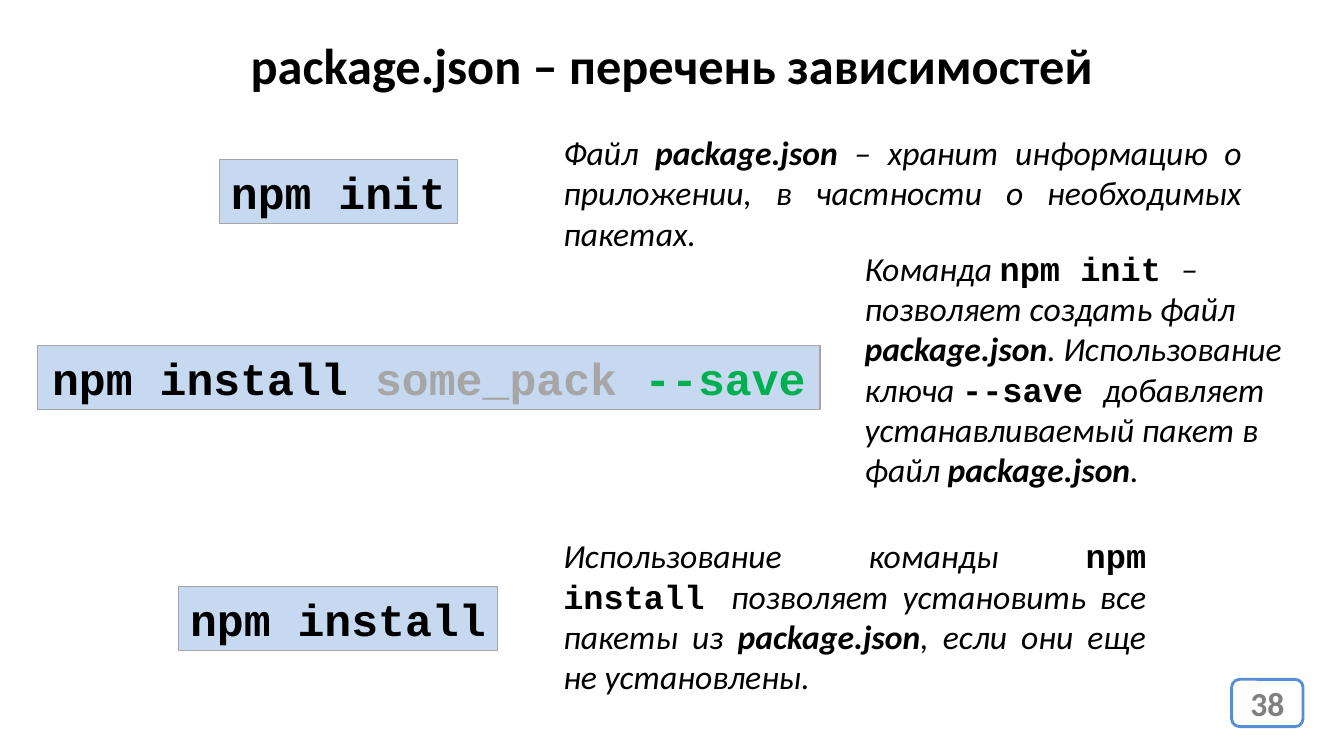
from pptx import Presentation
from pptx import util as u
from pptx.dml.color import RGBColor
from pptx.enum import shapes, text

PX = 9525
THEME = {
    "body_font": "Calibri", "code_font": "Courier New",
    "title_size": 36, "command_size": 32, "body_size": 24,
    "black": "000000", "white": "FFFFFF", "gray": "808080",
    "silver": "A6A6A6", "green": "00B050",
    "box": "C6D9F1", "badge": "558ED5",
}
STYLES = {
    "title": ("body_font", "title_size", "black", True, False),
    "plain": ("body_font", "body_size", "black", False, True),
    "strong": ("body_font", "body_size", "black", True, True),
    "code": ("code_font", "body_size", "black", True, False),
    "command": ("code_font", "command_size", "black", True, False),
    "package": ("code_font", "command_size", "silver", True, False),
    "flag": ("code_font", "command_size", "green", True, False),
    "number": ("body_font", "body_size", "gray", True, False),
}
LEFT, CENTER, JUSTIFY = text.PP_ALIGN.LEFT, text.PP_ALIGN.CENTER, text.PP_ALIGN.JUSTIFY


def write(sp, runs, align, wrap=True):
    tf = sp.text_frame
    tf.word_wrap = wrap
    p = tf.paragraphs[0]
    p.alignment = align
    for style, words in runs:
        font, size, color, bold, italic = STYLES[style]
        r = p.add_run()
        r.text = words
        r.font.name = THEME[font]
        r.font.size = u.Pt(THEME[size])
        r.font.color.rgb = RGBColor.from_string(THEME[color])
        r.font.bold = bold
        r.font.italic = italic


def add_box(s, kind, bounds, fill, line, width):
    sp = s.shapes.add_shape(kind, *(n * PX for n in bounds))
    sp.shadow.inherit = False
    sp.fill.solid()
    sp.fill.fore_color.rgb = RGBColor.from_string(THEME[fill])
    sp.line.color.rgb = RGBColor.from_string(THEME[line])
    sp.line.width = u.Pt(width)
    return sp


prs = Presentation()
prs.slide_width, prs.slide_height = 1280 * PX, 720 * PX
s = prs.slides.add_slide(prs.slide_layouts[6])

badge = add_box(s, shapes.MSO_SHAPE.ROUNDED_RECTANGLE, (1173, 647, 68, 45), "white", "badge", 2)
badge.text_frame.vertical_anchor = text.MSO_ANCHOR.MIDDLE
write(badge, [("number", "38")], CENTER)

texts = [
    ((0, 28, 1280, 68), CENTER, [("title", "package.json – перечень зависимостей")]),
    ((527, 121, 665, 126), JUSTIFY, [
        ("plain", "Файл "), ("strong", "package.json"),
        ("plain", " – хранит информацию о приложении, в частности о необходимых пакетах. "),
    ]),
    ((814, 231, 423, 242), LEFT, [
        ("plain", "Команда "), ("code", "npm init "),
        ("plain", "– позволяет создать файл "), ("strong", "package.json"),
        ("plain", ". Использование ключа "), ("code", "--save "),
        ("plain", "добавляет устанавливаемый пакет в файл "),
        ("strong", "package.json"), ("plain", "."),
    ]),
    ((527, 505, 574, 165), JUSTIFY, [
        ("plain", "Использование команды "), ("code", "npm install "),
        ("plain", "позволяет установить все пакеты из "), ("strong", "package.json"),
        ("plain", ", если они еще не установлены."),
    ]),
]
for bounds, align, runs in texts:
    write(s.shapes.add_textbox(*(n * PX for n in bounds)), runs, align)

commands = [
    (209, 152, 227, [("command", "npm init")]),
    (36, 329, 745, [("command", "npm install "), ("package", "some_pack "), ("flag", "--save")]),
    (170, 559, 304, [("command", "npm install")]),
]
for x, y, width, runs in commands:
    sp = add_box(s, shapes.MSO_SHAPE.RECTANGLE, (x, y, width, 61), "box", "silver", 0.75)
    sp.text_frame.vertical_anchor = text.MSO_ANCHOR.TOP
    write(sp, runs, CENTER, wrap=False)

prs.save("out.pptx")
